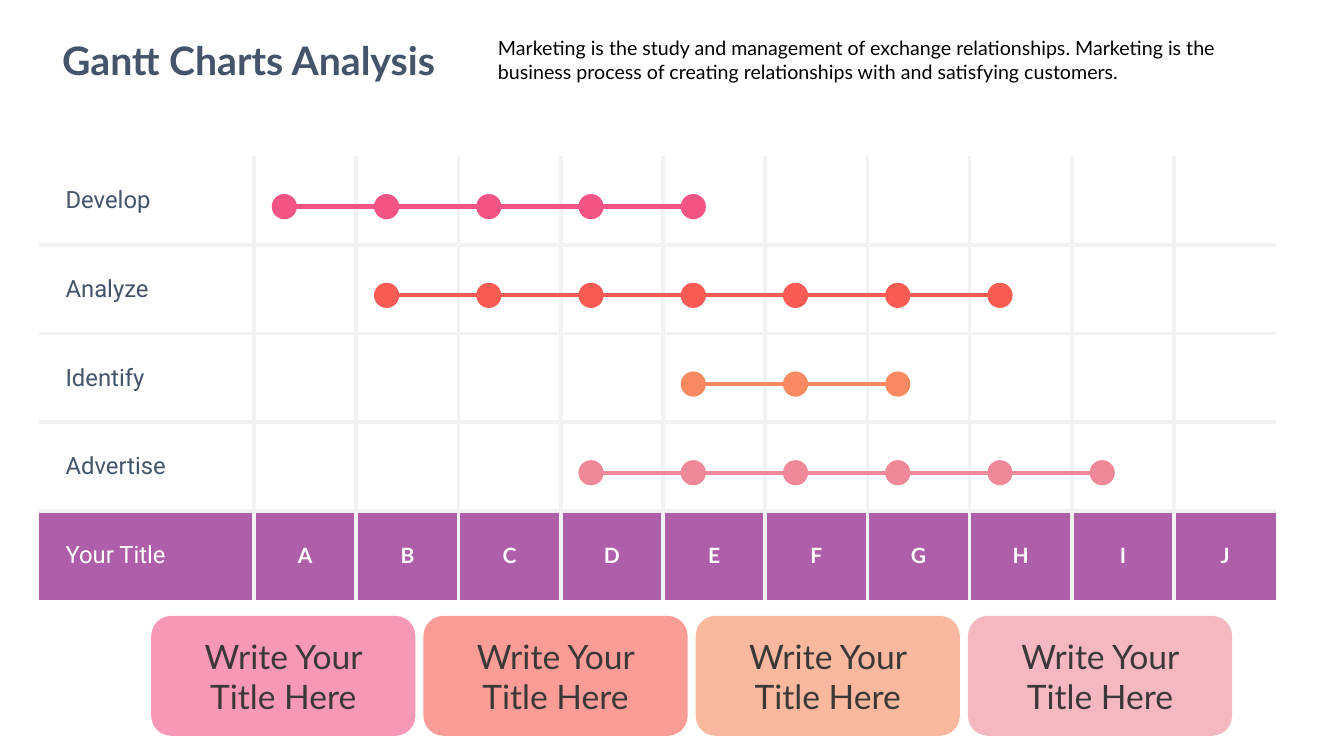
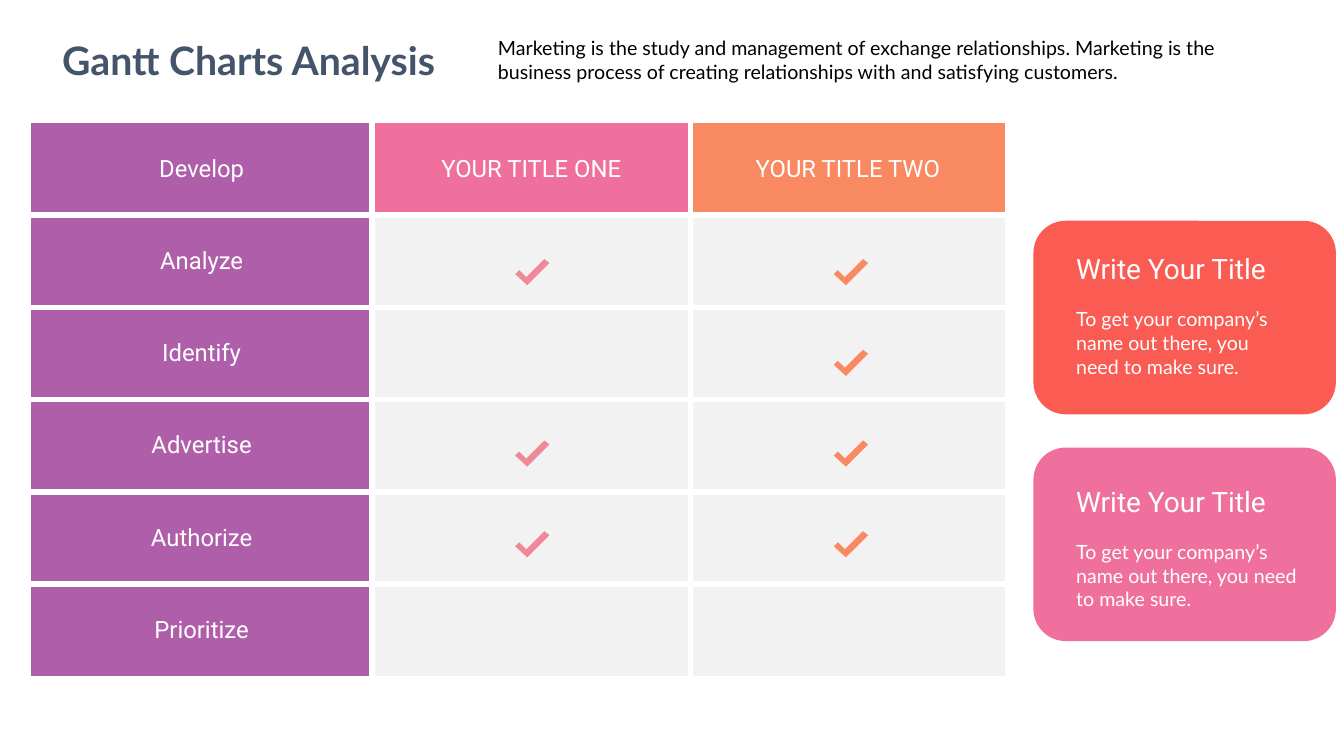
from lxml.etree import SubElement
from pptx import Presentation
from pptx.dml.color import RGBColor
from pptx.enum.shapes import MSO_SHAPE as Shape
from pptx.enum.text import MSO_ANCHOR as Anchor, MSO_AUTO_SIZE as Fit, PP_ALIGN as Align
from pptx.oxml.ns import qn
from pptx.util import Inches as In, Pt

ROSE, RED, PEACH, BLUSH = "F25484", "FA5B52", "F88960", "EF8999"
PINK, PLUM, SLATE, COAL = "EF709D", "AF5FAA", "44546A", "3B3838"
WHITE, MIST, BLACK = "FFFFFF", "F2F2F2", "000000"
SANS, ROBO = "Lato", "Roboto"

TITLE = "Gantt Charts Analysis"
INTRO = ("Marketing is the study and management of exchange relationships. "
         "Marketing is the business process of creating relationships with "
         "and satisfying customers.")

TASKS = [("Develop", ROSE, 0, 4), ("Analyze", RED, 1, 7),
         ("Identify", PEACH, 4, 6), ("Advertise", BLUSH, 3, 8)]
AXIS = ["Your Title"] + list("ABCDEFGHIJ")
LABEL = "Write Your Title Here"

HEADS = [("Develop", PLUM), ("YOUR TITLE ONE", PINK), ("YOUR TITLE TWO", PEACH)]
STEPS = [("Analyze", 1, 1), ("Identify", 0, 1), ("Advertise", 1, 1),
         ("Authorize", 1, 1), ("Prioritize", 0, 0)]
TICK = [(0, 15), (4, 11), (11, 18), (29, 0), (34, 4), (12, 26)]
NOTE = ("Write Your Title", "To get your company’s name out there, you need to make sure.")
CARDS = [(2.19, RED, 0.21, 0.33), (4.44, PINK, 0.27, 0.24)]


def rgb(code):
    return RGBColor.from_string(code)


def style(para, size, face, code, bold=False, align=Align.LEFT):
    font = para.font
    font.size, font.name, font.bold = Pt(size), face, bold
    font.color.rgb = rgb(code)
    para.alignment = align


def inset(box, left, top, right, low):
    box.margin_left, box.margin_top = In(left), In(top)
    box.margin_right, box.margin_bottom = In(right), In(low)


def paint(shape, code, alpha=None):
    shape.shadow.inherit = False
    shape.fill.solid()
    shape.fill.fore_color.rgb = rgb(code)
    shape.line.fill.background()
    if alpha:
        tint = shape.fill._xPr.find(".//" + qn("a:srgbClr"))
        SubElement(tint, qn("a:alpha"), val=str(alpha * 1000))


def block(slide, kind, x, y, w, h, code, alpha=None):
    shape = slide.shapes.add_shape(kind, In(x), In(y), In(w), In(h))
    paint(shape, code, alpha)
    return shape


def start(deck):
    slide = deck.slides.add_slide(deck.slide_layouts[5])
    title = slide.shapes.title
    title.text = TITLE
    intro = slide.shapes.add_textbox(In(4.84), In(0.31), In(7.82), In(0.57))
    intro.text_frame.text = INTRO
    intro.text_frame.word_wrap = True
    title.text_frame.auto_size = Fit.NONE
    title.text_frame.vertical_anchor = Anchor.MIDDLE
    style(title.text_frame.paragraphs[0], 28, SANS, SLATE, True, Align.CENTER)
    style(intro.text_frame.paragraphs[0], 14, SANS, BLACK)
    return slide


def border(cell, sides, code, width):
    props = cell._tc.get_or_add_tcPr()
    for side, inner in sides:
        line = SubElement(props, qn("a:ln" + side), w=str(Pt(width)))
        if inner:
            fill = SubElement(line, qn("a:solidFill"))
            SubElement(fill, qn("a:srgbClr"), val=code)
        else:
            SubElement(line, qn("a:noFill"))


def grid(slide, x, y, cols, rows, code, width):
    frame = slide.shapes.add_table(len(rows), len(cols), In(x), In(y),
                                   In(sum(cols)), In(sum(rows)))
    table = frame.table
    table.first_row = table.horz_banding = False
    for col, size in zip(table.columns, cols):
        col.width = In(size)
    for row, size in zip(table.rows, rows):
        row.height = In(size)
    for r in range(len(rows)):
        for c in range(len(cols)):
            sides = [("L", c > 0), ("R", c < len(cols) - 1),
                     ("T", r > 0), ("B", r < len(rows) - 1)]
            border(table.cell(r, c), sides, code, width)
    return table


def fill(cell, back, text="", size=17, face=ROBO, code=WHITE,
         bold=False, align=Align.CENTER, left=0.05):
    cell.fill.solid()
    cell.fill.fore_color.rgb = rgb(back)
    cell.vertical_anchor = Anchor.MIDDLE
    inset(cell, left, 0.03, 0.05, 0.03)
    cell.text = text
    style(cell.text_frame.paragraphs[0], size, face, code, bold, align)


def gantt(deck):
    slide = start(deck)
    x, y, lead, col, row = 0.39, 1.55, 2.13, 1.014, 0.88
    table = grid(slide, x, y, [lead] + [col] * 10, [row] * 5, MIST, 3)
    for r, (name, code, first, last) in enumerate(TASKS):
        fill(table.cell(r, 0), WHITE, name, code=SLATE, align=Align.LEFT, left=0.26)
        for c in range(1, len(AXIS)):
            fill(table.cell(r, c), WHITE)
        mid = y + r * row + 0.5
        spots = [x + lead + 0.3 + n * col for n in range(first, last + 1)]
        line = slide.shapes.add_connector(1, In(spots[0]), In(mid), In(spots[-1]), In(mid))
        line.line.color.rgb = rgb(code)
        line.line.width = Pt(3)
        SubElement(line._element.spPr, qn("a:effectLst"))
        for spot in spots:
            block(slide, Shape.OVAL, spot - 0.125, mid - 0.125, 0.25, 0.25, code)
        card = block(slide, Shape.ROUNDED_RECTANGLE, 1.5 + 2.7 * r, 6.11, 2.62, 1.19, code, 60)
        text = card.text_frame
        text.text = LABEL
        text.word_wrap = True
        text.vertical_anchor = Anchor.MIDDLE
        inset(text, 0.3, 0.1, 0.3, 0.1)
        style(text.paragraphs[0], 24, SANS, COAL, align=Align.CENTER)
    fill(table.cell(4, 0), PLUM, AXIS[0], align=Align.LEFT, left=0.26)
    for c, name in enumerate(AXIS[1:], 1):
        fill(table.cell(4, c), PLUM, name, 15, SANS, bold=True)


def tick(slide, x, y, code):
    pen = slide.shapes.build_freeform(*TICK[0], scale=In(0.01))
    pen.add_line_segments(TICK[1:], close=True)
    paint(pen.convert_to_shape(In(x), In(y)), code)


def matrix(deck):
    slide = start(deck)
    cols = [3.38, 3.16, 3.12]
    table = grid(slide, 0.31, 1.22, cols, [0.915] * 6, WHITE, 4.5)
    for c, (name, code) in enumerate(HEADS):
        fill(table.cell(0, c), code, name)
    for r, (name, *marks) in enumerate(STEPS):
        fill(table.cell(r + 1, 0), PLUM, name)
        for c, (mark, code) in enumerate(zip(marks, (BLUSH, PEACH))):
            fill(table.cell(r + 1, c + 1), MIST)
            if mark:
                tick(slide, 5.11 + c * cols[1], 2.57 + r * 0.9, code)
    for y, code, top, right in CARDS:
        card = block(slide, Shape.ROUNDED_RECTANGLE, 10.25, y, 3, 1.92, code)
        text = card.text_frame
        text.text = "\n".join(NOTE)
        text.word_wrap = True
        text.vertical_anchor = Anchor.TOP
        inset(text, 0.33, top, right, 0.1)
        head, body = text.paragraphs
        style(head, 20, ROBO, WHITE)
        style(body, 14, SANS, WHITE)
        body.space_before = Pt(16)


def main():
    deck = Presentation()
    deck.slide_width, deck.slide_height = In(13.33), In(7.5)
    title = deck.slide_layouts[5].placeholders[0]
    title.left, title.top, title.width, title.height = In(0.39), In(0.31), In(4.15), In(0.57)
    gantt(deck)
    matrix(deck)
    deck.save("out.pptx")


if __name__ == "__main__":
    main()
